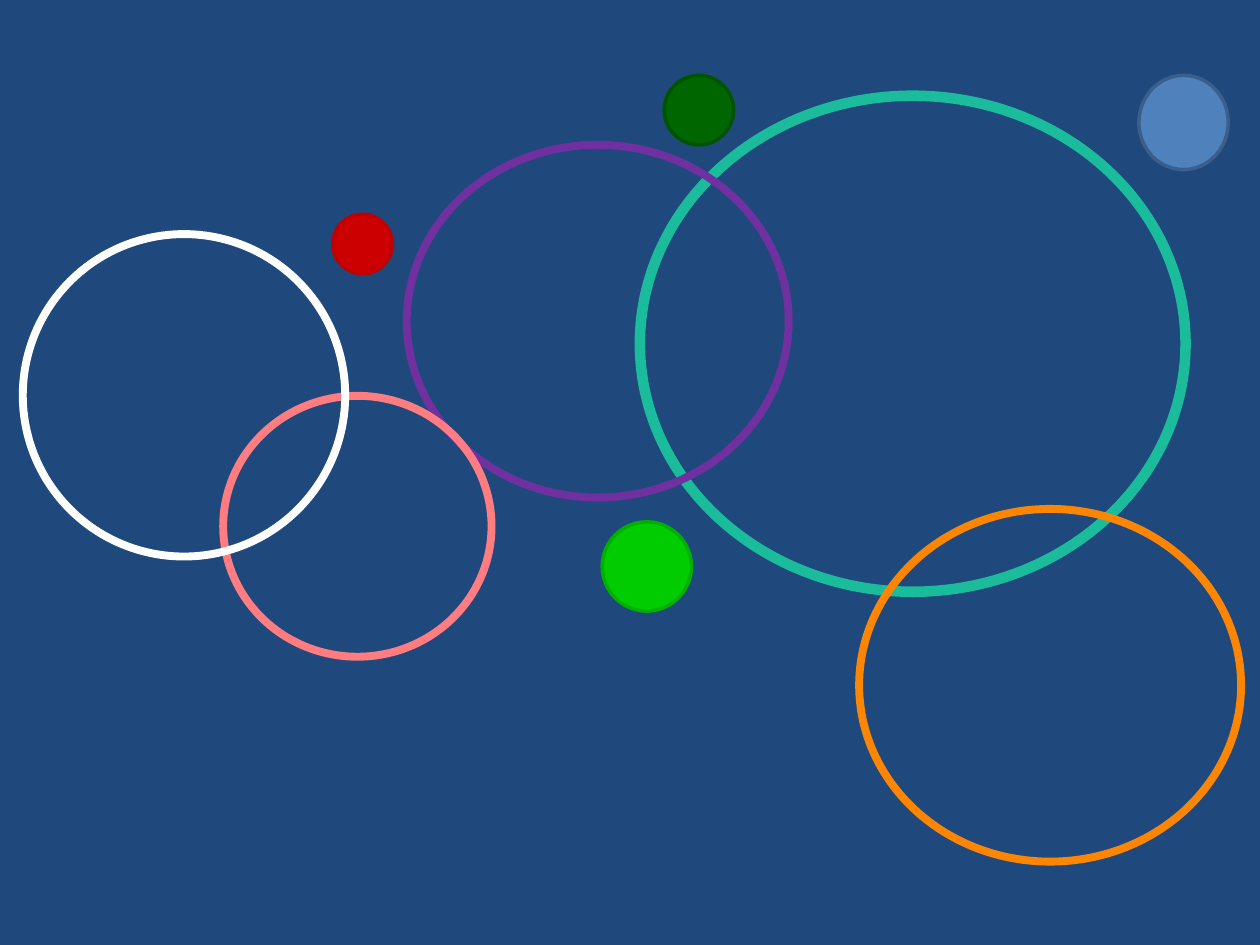
import pptx
import pptx.dml.color
import pptx.enum.shapes
import pptx.util

Cm = pptx.util.Cm
RGBColor = pptx.dml.color.RGBColor

NAVY = RGBColor(0x1F, 0x49, 0x7D)
TEAL = RGBColor(0x1A, 0xBC, 0x9C)
PURPLE = RGBColor(0x70, 0x30, 0xA0)
ORANGE = RGBColor(0xFC, 0x86, 0x04)
PINK = RGBColor(0xFF, 0x7C, 0x80)
WHITE = RGBColor(0xFF, 0xFF, 0xFF)
RED = RGBColor(0xCC, 0x00, 0x00)
RED_EDGE = RGBColor(0xC0, 0x00, 0x00)
FOREST = RGBColor(0x00, 0x66, 0x00)
FOREST_EDGE = RGBColor(0x00, 0x54, 0x00)
BLUE = RGBColor(0x4F, 0x81, 0xBD)
BLUE_EDGE = RGBColor(0x3A, 0x5F, 0x8C)
GREEN = RGBColor(0x00, 0xCC, 0x00)
GREEN_EDGE = RGBColor(0x00, 0xB0, 0x00)

# From back to front: left, top, width, height in cm, fill, line colour, line points
CIRCLES = [
    (12.44, 0.41, 11, 10, None, TEAL, 6),
    (6.25, 2.8, 1.2, 1.2, RED, RED_EDGE, 2),
    (7.74, 1.4, 7.7, 7.11, None, PURPLE, 4.5),
    (12.93, 0, 1.4, 1.4, FOREST, FOREST_EDGE, 2),
    (22.5, 0, 1.8, 1.9, BLUE, BLUE_EDGE, 2),
    (11.68, 9, 1.8, 1.8, GREEN, GREEN_EDGE, 2),
    (16.86, 8.74, 7.7, 7.11, None, ORANGE, 4.5),
    (4.04, 6.46, 5.41, 5.26, None, PINK, 4.5),
    (0, 3.2, 6.5, 6.5, None, WHITE, 4.5),
]


def add_circle(shapes, left, top, width, height, fill, line, points):
    circle = shapes.add_shape(
        pptx.enum.shapes.MSO_SHAPE.OVAL, Cm(left), Cm(top), Cm(width), Cm(height)
    )
    circle.shadow.inherit = False
    if fill is None:
        circle.fill.background()
    else:
        circle.fill.solid()
        circle.fill.fore_color.rgb = fill
    circle.line.color.rgb = line
    circle.line.width = pptx.util.Pt(points)


def add_circle_cluster(slide, box_left, box_top):
    """Group the circles, placed from the top left corner of the box."""
    group = slide.shapes.add_group_shape()
    for left, top, *look in CIRCLES:
        add_circle(group.shapes, box_left + left, box_top + top, *look)


def main():
    presentation = pptx.Presentation()
    presentation.slide_width = Cm(25.4)
    presentation.slide_height = Cm(19.05)
    slide = presentation.slides.add_slide(presentation.slide_layouts[6])
    slide.background.fill.solid()
    slide.background.fill.fore_color.rgb = NAVY
    add_circle_cluster(slide, 0.46, 1.52)
    presentation.save("out.pptx")


if __name__ == "__main__":
    main()
